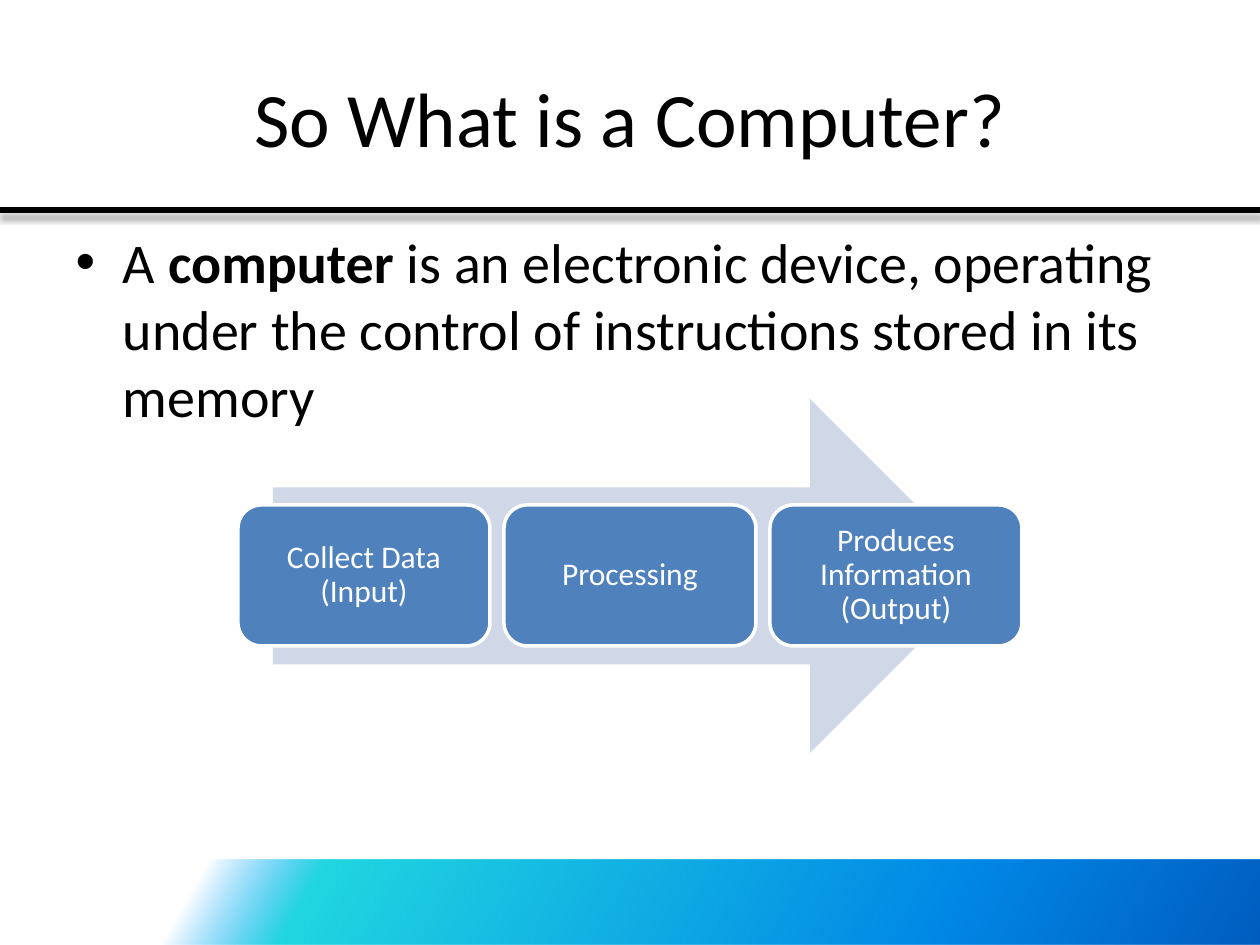
from lxml import etree
from pptx import Presentation
from pptx import util as u
from pptx.dml.color import RGBColor
from pptx.enum import shapes, text
from pptx.oxml import ns, parse_xml

EMU_PER_PX = u.Inches(1) / 126
FONT = "Calibri"
COLORS = {
    "text": "000000",
    "rule": "000000",
    "arrow": "D0D8E8",
    "box": "4F81BD",
    "white": "FFFFFF",
}
# Position in percent, colour, opacity in percent
BAND_STOPS = [
    (16, "0099FF", 0),
    (25, "21D6E0", 100),
    (75, "0087E6", 100),
    (100, "005CBF", 100),
]
STEPS = ["Collect Data (Input)", "Processing", "Produces Information (Output)"]


def px(*lengths):
    return [u.Emu(round(length * EMU_PER_PX)) for length in lengths]


def rgb(name):
    return RGBColor.from_string(COLORS[name])


class SlideBuilder:
    def __init__(self, slide):
        self.slide = slide

    def add_runs(self, paragraph, runs, size, color):
        for words, bold in runs:
            run = paragraph.add_run()
            run.text = words
            run.font.name = FONT
            run.font.size = u.Pt(size)
            run.font.bold = bold
            run.font.color.rgb = rgb(color)

    def placeholder(self, index, box, runs, size):
        shape = self.slide.placeholders[index]
        shape.left, shape.top, shape.width, shape.height = px(*box)
        paragraph = shape.text_frame.paragraphs[0]
        self.add_runs(paragraph, runs, size, "text")
        return paragraph

    def shape(self, kind, box, fill=None, line=None):
        shape = self.slide.shapes.add_shape(kind, *px(*box))
        shape.shadow.inherit = False
        if fill:
            shape.fill.solid()
            shape.fill.fore_color.rgb = rgb(fill)
        if line:
            shape.line.color.rgb = rgb(line)
            shape.line.width = u.Pt(2)
        else:
            shape.line.fill.background()
        return shape

    def gradient_band(self, box, stops, angle):
        band = self.shape(shapes.MSO_SHAPE.RECTANGLE, box)
        band.fill.gradient()
        band.fill.gradient_angle = 360 - angle
        stop_list = band._element.spPr.find(".//" + ns.qn("a:gsLst"))
        for stop in list(stop_list):
            stop_list.remove(stop)
        for position, color, opacity in stops:
            stop = etree.SubElement(stop_list, ns.qn("a:gs"), pos=str(position * 1000))
            fill = etree.SubElement(stop, ns.qn("a:srgbClr"), val=color)
            etree.SubElement(fill, ns.qn("a:alpha"), val=str(opacity * 1000))

    def rule(self, y, width):
        line = self.slide.shapes.add_connector(
            shapes.MSO_CONNECTOR.STRAIGHT, *px(0, y, width, y))
        line.line.color.rgb = rgb("rule")
        line.line.width = u.Pt(3)
        line._element.spPr.append(parse_xml(
            f'<a:effectLst {ns.nsdecls("a")}>'
            f'<a:outerShdw blurRad="{u.Pt(4)}" dist="{u.Pt(3)}" dir="5400000" rotWithShape="0">'
            f'<a:srgbClr val="{COLORS["rule"]}"><a:alpha val="40000"/></a:srgbClr>'
            '</a:outerShdw></a:effectLst>'))

    def step_box(self, box, words):
        shape = self.shape(shapes.MSO_SHAPE.ROUNDED_RECTANGLE, box, "box", "white")
        frame = shape.text_frame
        frame.word_wrap = True
        frame.vertical_anchor = text.MSO_ANCHOR.MIDDLE
        inset = px(9)[0]
        frame.margin_left = frame.margin_right = inset
        frame.margin_top = frame.margin_bottom = inset
        paragraph = frame.paragraphs[0]
        paragraph.alignment = text.PP_ALIGN.CENTER
        paragraph.line_spacing = 0.9
        self.add_runs(paragraph, [(words, False)], 18, "white")


def main():
    presentation = Presentation()
    presentation.slide_width, presentation.slide_height = px(1260, 945)
    builder = SlideBuilder(presentation.slides.add_slide(presentation.slide_layouts[1]))

    # Bottom band and title rule
    builder.gradient_band((0, 860, 1260, 85), BAND_STOPS, 30)
    builder.rule(210, 1260)

    # Title and definition
    title = builder.placeholder(
        0, (63, 38, 1134, 158), [("So What is a Computer?", False)], 44)
    title.alignment = text.PP_ALIGN.CENTER
    builder.placeholder(1, (63, 221, 1134, 624), [
        ("A ", False),
        ("computer", True),
        (" is an electronic device, operating under the control of "
         "instructions stored in its memory", False),
    ], 32)

    # Process arrow with its steps
    builder.shape(shapes.MSO_SHAPE.RIGHT_ARROW, (273, 399, 714, 354), "arrow")
    for index, words in enumerate(STEPS):
        builder.step_box((238 + 266 * index, 505, 252, 141), words)

    presentation.save("out.pptx")


if __name__ == "__main__":
    main()
